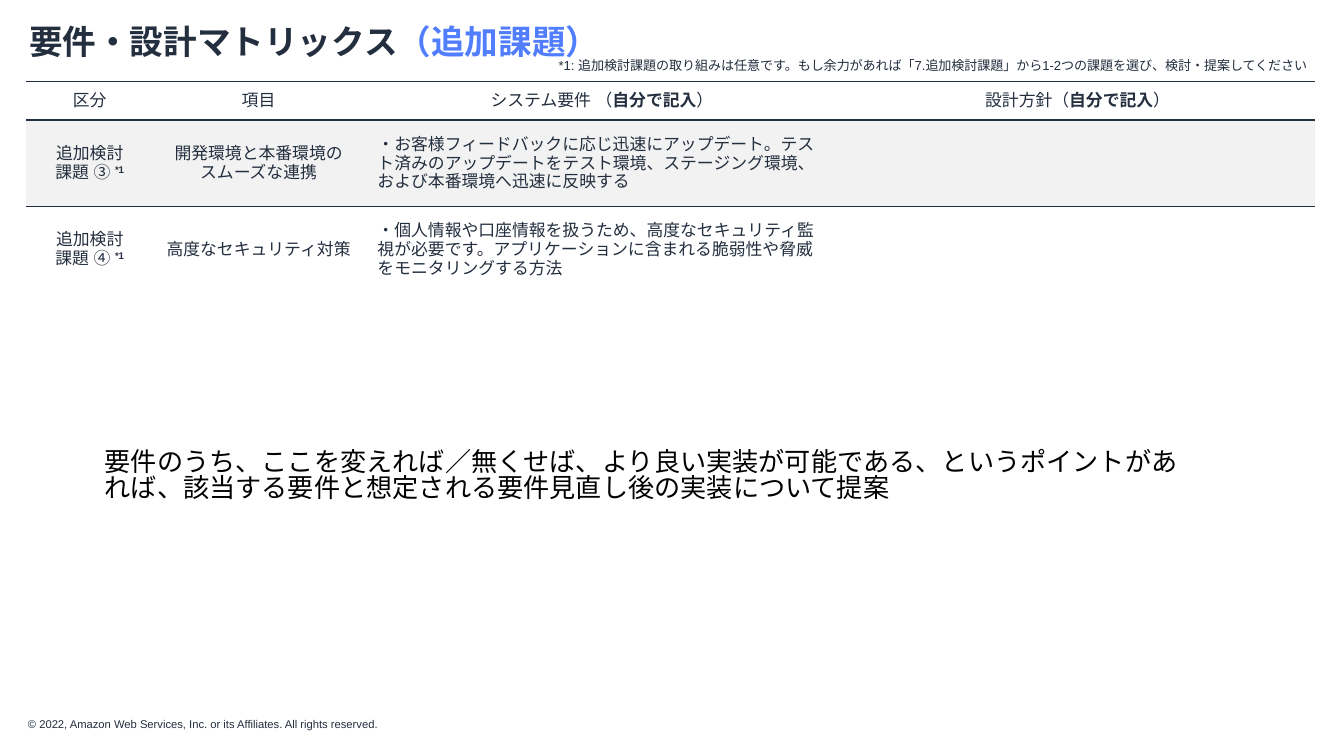
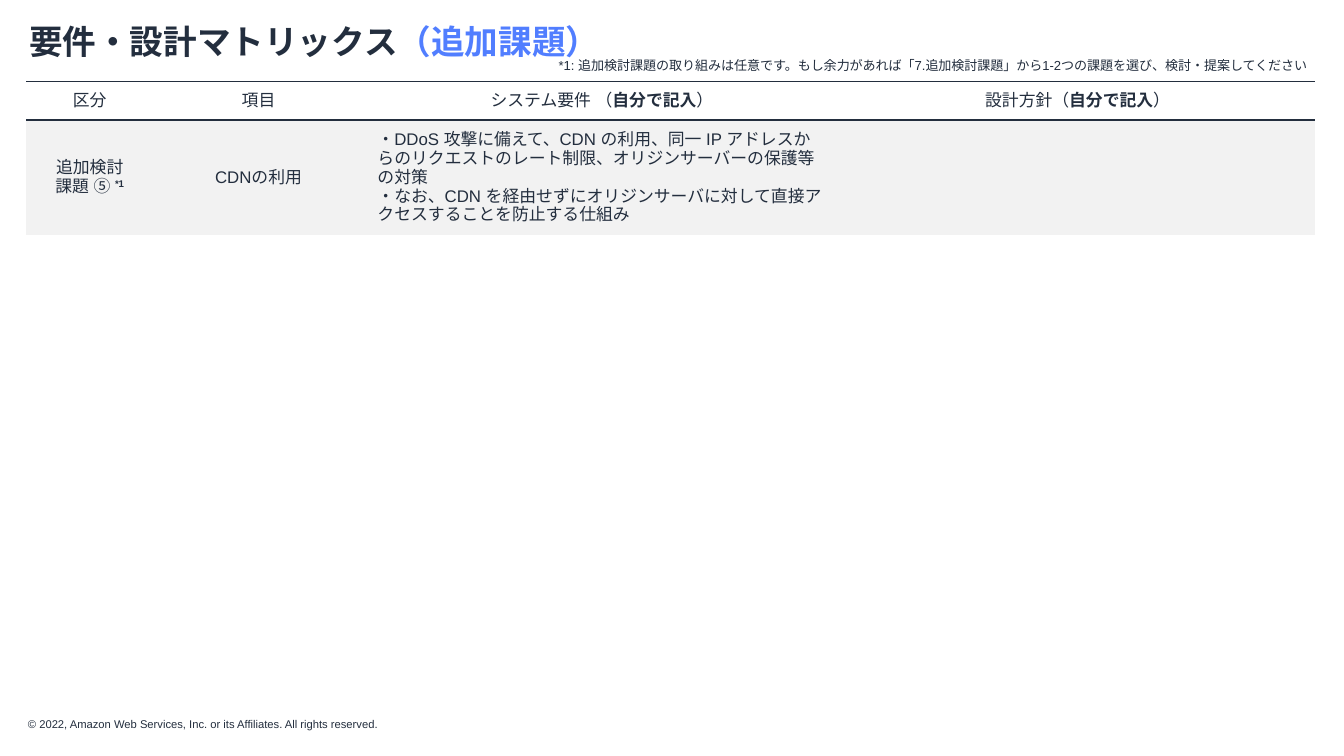
from lxml import etree
from pptx import Presentation
from pptx.dml.color import RGBColor
from pptx.enum import lang, text
from pptx.oxml import ns
from pptx.util import Cm, Pt

INK = RGBColor(0x23, 0x2E, 0x3E)
BLUE = RGBColor(0x51, 0x7E, 0xFF)
BLACK = RGBColor(0, 0, 0)
BAND = RGBColor(0xF2, 0xF2, 0xF2)
FONT = "Arial"
NO_STYLE = "{2D5ABB26-0587-4C30-8999-92F81FD0307C}"

# A paragraph is a list of (words, look) spans; look is "", "bold", "blue" or "super".
TITLE = [("要件・設計マトリックス", "bold"), ("（追加課題）", "blue")]
NOTE = [("*1: 追加検討課題の取り組みは任意です。もし余力があれば「7.追加検討課題」から"
         "1-2つの課題を選び、検討・提案してください", "")]
COPYRIGHT = [("© 2022, Amazon Web Services, Inc. or its Affiliates. All rights reserved.", "")]
PROPOSAL = [("要件のうち、ここを変えれば／無くせば、より良い実装が可能である、というポイントがあれば、"
             "該当する要件と想定される要件見直し後の実装について提案", "")]
FILL_IN = ("自分で記入", "bold")
HEADER = [
    [("区分", "")],
    [("項目", "")],
    [("システム要件 （", ""), FILL_IN, ("）", "")],
    [("設計方針（", ""), FILL_IN, ("）", "")],
]
# Each row: task number, item lines, requirement paragraphs
SLIDES = [
    {"rows": [
        ("③", ["開発環境と本番環境の", "スムーズな連携"],
         ["・お客様フィードバックに応じ迅速にアップデート。テスト済みのアップデートをテスト環境、"
          "ステージング環境、および本番環境へ迅速に反映する"]),
        ("④", ["高度なセキュリティ対策"],
         ["・個人情報や口座情報を扱うため、高度なセキュリティ監視が必要です。"
          "アプリケーションに含まれる脆弱性や脅威をモニタリングする方法"]),
    ], "proposal": PROPOSAL},
    {"rows": [
        ("⑤", ["CDNの利用"],
         ["・DDoS 攻撃に備えて、CDN の利用、同一 IP アドレスからのリクエストのレート制限、"
          "オリジンサーバーの保護等の対策",
          "・なお、CDN を経由せずにオリジンサーバに対して直接アクセスすることを防止する仕組み"]),
    ], "proposal": None},
]

COLUMNS = [2.39, 3.99, 8.99, 8.99]
HEADER_HEIGHT, ROW_HEIGHT = 0.73, 1.63


def write(frame, paragraphs, size, color=INK, align=text.PP_ALIGN.LEFT, spacing=None):
    for index, spans in enumerate(paragraphs):
        para = frame.add_paragraph() if index else frame.paragraphs[0]
        para.alignment = align
        if spacing:
            para.line_spacing = spacing
        font = para.font
        font.name, font.size, font.color.rgb = FONT, Pt(size), color
        font.language_id = lang.MSO_LANGUAGE_ID.JAPANESE
        etree.SubElement(font._element, ns.qn("a:ea")).set("typeface", FONT)
        for words, look in spans:
            span = para.add_run()
            span.text = words
            if look:
                span.font.bold = True
            if look == "blue":
                span.font.color.rgb = BLUE
            if look == "super":
                span.font._element.set("baseline", "30000")


def add_text(page, place, spans, size, inset=(0.25, 0.13), **style):
    box = page.shapes.add_textbox(*map(Cm, place))
    frame = box.text_frame
    frame.word_wrap = True
    frame.margin_left = frame.margin_right = Cm(inset[0])
    frame.margin_top = frame.margin_bottom = Cm(inset[1])
    write(frame, [spans], size, **style)


def add_border(cell, side):
    """Rule one side of a cell: "a:lnT" or "a:lnB"."""
    props = cell._tc.get_or_add_tcPr()
    line = etree.Element(ns.qn(side), w=str(Pt(0.75)))
    fill = etree.SubElement(line, ns.qn("a:solidFill"))
    etree.SubElement(fill, ns.qn("a:srgbClr"), val=str(INK))
    lines = [child for child in props if child.tag.startswith(ns.qn("a:ln"))]
    props.insert(len(lines), line)


def task_cells(number, items, requirements):
    return [
        [[("追加検討", "")], [(f"課題 {number} ", ""), ("*1", "super")]],
        [[(line, "")] for line in items],
        [[(line, "")] for line in requirements],
        [],
    ]


def add_matrix(page, tasks):
    rows = [[[spans] for spans in HEADER]] + [task_cells(*task) for task in tasks]
    heights = [HEADER_HEIGHT] + [ROW_HEIGHT] * len(tasks)
    table = page.shapes.add_table(len(rows), len(COLUMNS), Cm(0.5), Cm(1.54),
                                  Cm(sum(COLUMNS)), Cm(sum(heights))).table
    table.first_row = table.horz_banding = False
    table._tbl.tblPr.find(ns.qn("a:tableStyleId")).text = NO_STYLE
    for column, width in zip(table.columns, COLUMNS):
        column.width = Cm(width)
    for r, (row, height) in enumerate(zip(rows, heights)):
        table.rows[r].height = Cm(height)
        for c, paragraphs in enumerate(row):
            cell = table.cell(r, c)
            cell.vertical_anchor = text.MSO_ANCHOR.MIDDLE
            centred = r == 0 or c < 2
            write(cell.text_frame, paragraphs, 9,
                  align=text.PP_ALIGN.CENTER if centred else text.PP_ALIGN.LEFT)
            if r % 2:
                cell.fill.solid()
                cell.fill.fore_color.rgb = BAND
            else:
                cell.fill.background()
            if r == 0:
                add_border(cell, "a:lnT")
                add_border(cell, "a:lnB")
            elif r == 1:
                add_border(cell, "a:lnT")


def main():
    deck = Presentation()
    deck.slide_width, deck.slide_height = Cm(25.4), Cm(14.29)
    for content in SLIDES:
        page = deck.slides.add_slide(deck.slide_layouts[6])
        add_text(page, (0.53, 13.56, 11.5, 0.25), COPYRIGHT, 6, inset=(0, 0))
        add_text(page, (0.3, 0.36, 23.65, 1.52), TITLE, 18, spacing=0.9)
        add_matrix(page, content["rows"])
        add_text(page, (10.31, 0.99, 15.01, 0.56), NOTE, 7, spacing=0.9)
        if content["proposal"]:
            add_text(page, (1.73, 8.28, 20.83, 1.7), content["proposal"], 14,
                     inset=(0.25, 0.25), color=BLACK, spacing=0.82)
    deck.save("out.pptx")


if __name__ == "__main__":
    main()
